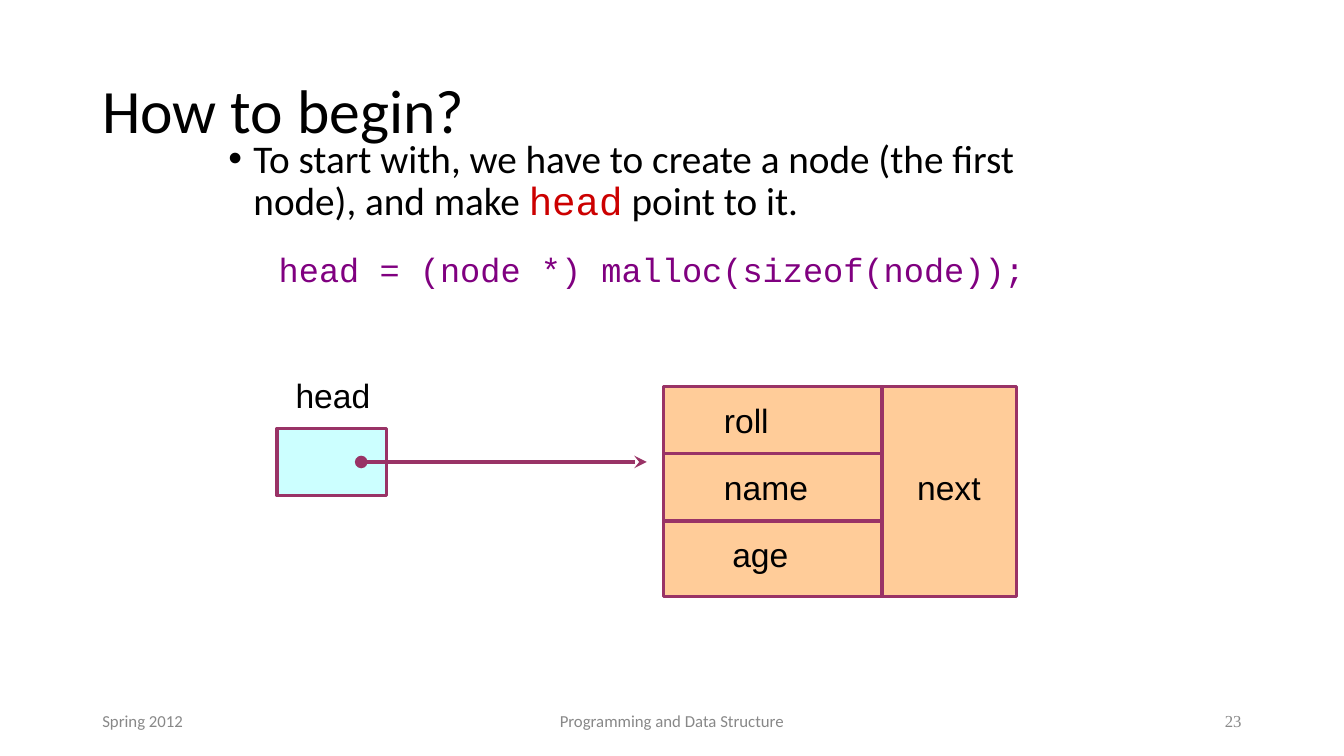
from lxml import etree
from pptx import Presentation
from pptx.dml.color import RGBColor
from pptx.enum.shapes import MSO_CONNECTOR, MSO_SHAPE
from pptx.enum.text import MSO_ANCHOR, PP_ALIGN
from pptx.oxml.ns import qn
from pptx.util import Inches, Pt

LEFT, CENTER, RIGHT = PP_ALIGN.LEFT, PP_ALIGN.CENTER, PP_ALIGN.RIGHT
TOP, MIDDLE = MSO_ANCHOR.TOP, MSO_ANCHOR.MIDDLE
RECTANGLE, STRAIGHT = MSO_SHAPE.RECTANGLE, MSO_CONNECTOR.STRAIGHT

# Each style is (size, font, colour); the rest are plain colours and line widths.
THEME = {
    "title": (44, "Calibri", "000000"),
    "body": (28, "Calibri", "000000"),
    "keyword": (28, "Courier New", "CC0000"),
    "code": (24, "Courier New", "800080"),
    "label": (24, "Arial", "000000"),
    "footer": (12, "Calibri", "888888"),
    "number": (12, "Times New Roman", "898989"),
    "outline": "993366",
    "node": "FFCC99",
    "pointer": "CCFFFF",
    "border": 2.5,
    "arrow": 3,
}

# The slide is a grid of 160 columns by 90 rows, twelve to the inch.
COLUMNS, ROWS = 160, 90
CELL = Inches(1) / 12

deck = Presentation()
deck.slide_width, deck.slide_height = int(COLUMNS * CELL), int(ROWS * CELL)
page = deck.slides.add_slide(deck.slide_layouts[6])


def add_text(area, pieces, anchor=TOP, align=LEFT):
    """Add a box at a grid area, with one paragraph of (text, style) pieces."""
    box = page.shapes.add_textbox(*[int(n * CELL) for n in area])
    frame = box.text_frame
    frame.word_wrap = True
    frame.vertical_anchor = anchor
    frame.paragraphs[0].alignment = align
    fill_paragraph(frame.paragraphs[0], pieces)
    return frame


def fill_paragraph(para, pieces):
    for text, style in pieces:
        span = para.add_run()
        span.text = text
        size, name, colour = THEME[style]
        span.font.size, span.font.name = Pt(size), name
        span.font.color.rgb = RGBColor.from_string(colour)


# Title
title = add_text((11, 4.8, 138, 17.4), [("How to begin?", "title")], MIDDLE)
title.paragraphs[0].line_spacing = 0.9

# Explanation and code
body = add_text((26, 16, 108, 62), [
    ("To start with, we have to create a node (the first node), and make ", "body"),
    ("head", "keyword"),
    (" point to it.", "body"),
])
bullet = body.paragraphs[0]
bullet.line_spacing = 0.9
properties = bullet._p.get_or_add_pPr()
properties.set("marL", str(Inches(0.25)))
properties.set("indent", str(-Inches(0.25)))
etree.SubElement(properties, qn("a:buFont")).set("typeface", "Arial")
etree.SubElement(properties, qn("a:buChar")).set("char", "•")

code = body.add_paragraph()
code.line_spacing = 0.9
code.space_before = Pt(21)
code._p.get_or_add_pPr().set("marL", str(Inches(0.5)))
fill_paragraph(code, [("head = (node *) malloc(sizeof(node));", "code")])

# Footer
for column, width, text, style, align in [
    (11, 36, "Spring 2012", "footer", LEFT),
    (53, 54, "Programming and Data Structure", "footer", CENTER),
    (113, 36, "23", "number", RIGHT),
]:
    add_text((column, 83.4, width, 4.8), [(text, style)], MIDDLE, align)

# Node and head pointer
outline = RGBColor.from_string(THEME["outline"])
node_left, node_top, node_width, node_height = node_area = (79, 46, 42, 25)
divider = 105
for area, fill in [(node_area, "node"), ((33, 51, 13, 8), "pointer")]:
    box = page.shapes.add_shape(RECTANGLE, *[int(n * CELL) for n in area])
    box.shadow.inherit = False
    box.fill.solid()
    box.fill.fore_color.rgb = RGBColor.from_string(THEME[fill])
    box.line.color.rgb = outline
    box.line.width = Pt(THEME["border"])

# Field dividers, then the arrow from head to the node
for ends, weight in [
    ((divider, node_top, divider, node_top + node_height), "border"),
    ((node_left, node_top + 8, divider, node_top + 8), "border"),
    ((node_left, node_top + 16, divider, node_top + 16), "border"),
    ((43, 55, 77, 55), "arrow"),
]:
    line = page.shapes.add_connector(STRAIGHT, *[int(n * CELL) for n in ends])
    line.line.color.rgb = outline
    line.line.width = Pt(THEME[weight])
    if weight == "arrow":
        stroke = line.line._get_or_add_ln()
        etree.SubElement(stroke, qn("a:headEnd")).set("type", "oval")
        etree.SubElement(stroke, qn("a:tailEnd")).set("type", "stealth")
    etree.SubElement(line._element.spPr, qn("a:effectLst"))

# Labels
for column, row, width, text in [
    (34, 44, 14, "head"),
    (85, 47, 20, "roll"),
    (85, 55, 20, "name"),
    (86, 63, 20, "age"),
    (108, 55, 20, "next"),
]:
    add_text((column, row, width, 6), [(text, "label")])

deck.save("out.pptx")
